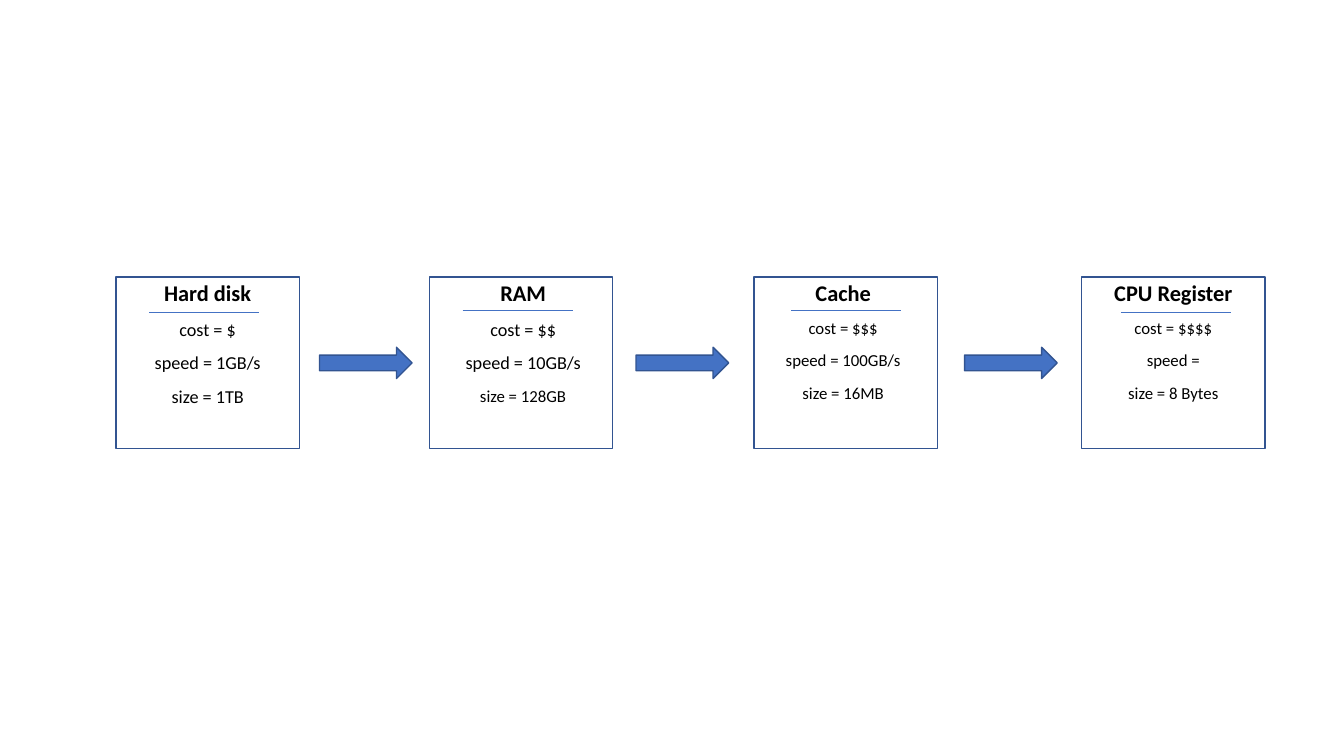
"""Build a slide comparing four levels of the memory hierarchy."""
import dataclasses

import lxml.etree
import pptx
import pptx.dml.color
import pptx.enum.shapes
import pptx.enum.text
import pptx.oxml.ns
import pptx.util

Pt = pptx.util.Pt
RGBColor = pptx.dml.color.RGBColor
MSO_SHAPE = pptx.enum.shapes.MSO_SHAPE


@dataclasses.dataclass(frozen=True)
class Theme:
    font: str = "Calibri"
    text: RGBColor = RGBColor(0x00, 0x00, 0x00)
    accent: RGBColor = RGBColor(0x44, 0x72, 0xC4)
    outline: RGBColor = RGBColor(0x32, 0x54, 0x91)
    heading_size: float = 16
    large_size: float = 13
    small_size: float = 12


theme = Theme()
large, small = theme.large_size, theme.small_size

box_top, box_width, box_height = 198, 131, 122.4
arrow_width, arrow_height = 66.2, 22.3
arrow_top = box_top + (box_height - arrow_height) / 2
rule_width = 78.5


def write_card(shape, lines, sizes):
    text_frame = shape.text_frame
    text_frame.word_wrap = True
    text_frame.auto_size = pptx.enum.text.MSO_AUTO_SIZE.NONE
    text_frame.vertical_anchor = pptx.enum.text.MSO_ANCHOR.TOP
    text_frame.text = "\n".join(lines)
    for index, paragraph in enumerate(text_frame.paragraphs):
        paragraph.alignment = pptx.enum.text.PP_ALIGN.CENTER
        paragraph.line_spacing = 0.9
        paragraph.space_before = Pt(10)
        font = paragraph.runs[0].font
        font.name = theme.font
        font.size = Pt(sizes[index])
        font.bold = index == 0
        font.color.rgb = theme.text


def add_outlined_shape(kind, left, top, width, height):
    shape = slide.shapes.add_shape(kind, Pt(left), Pt(top), Pt(width), Pt(height))
    shape.shadow.inherit = False
    shape.fill.background()
    shape.line.color.rgb = theme.outline
    shape.line.width = Pt(1)
    return shape


presentation = pptx.Presentation()
presentation.slide_width = Pt(960)
presentation.slide_height = Pt(540)
slide = presentation.slides.add_slide(presentation.slide_layouts[0])
title = slide.shapes.title
title.element.getparent().remove(title.element)
subtitle = slide.placeholders[1]

levels = [
    (82.8, 82.8, 131, 106.6, 223.2, (large, large, large),
     ("Hard disk", "cost = $", "speed = 1GB/s", "size = 1TB")),
    (306.7, 312.5, 122.4, 330.5, 221.8, (large, large, small),
     ("RAM", "cost = $$", "speed = 10GB/s", "size = 128GB")),
    (538.6, 538.6, 127.4, 565.2, 221.8, (small, small, small),
     ("Cache", "cost = $$$", "speed = 100GB/s", "size = 16MB")),
    (772.6, 772.6, 131, 800.6, 223.2, (small, small, small),
     ("CPU Register", "cost = $$$$", "speed =", "size = 8 Bytes")),
]

for index, level in enumerate(levels):
    box_left, text_left, text_width, rule_left, rule_top, sizes, lines = level
    add_outlined_shape(MSO_SHAPE.RECTANGLE, box_left, box_top, box_width, box_height)

    if index == 0:
        card = subtitle
        card.left, card.top = Pt(text_left), Pt(box_top)
        card.width, card.height = Pt(text_width), Pt(box_height)
    else:
        card = slide.shapes.add_textbox(
            Pt(text_left), Pt(box_top), Pt(text_width), Pt(box_height))
    write_card(card, lines, (theme.heading_size, *sizes))

    rule = slide.shapes.add_connector(
        pptx.enum.shapes.MSO_CONNECTOR.STRAIGHT,
        Pt(rule_left), Pt(rule_top), Pt(rule_left + rule_width), Pt(rule_top))
    rule.line.color.rgb = theme.accent
    rule.line.width = Pt(0.5)
    lxml.etree.SubElement(rule.element.spPr, pptx.oxml.ns.qn("a:effectLst"))

for arrow_left in (228.2, 454.3, 689):
    arrow = add_outlined_shape(
        MSO_SHAPE.RIGHT_ARROW, arrow_left, arrow_top, arrow_width, arrow_height)
    arrow.fill.solid()
    arrow.fill.fore_color.rgb = theme.accent

presentation.save("out.pptx")
